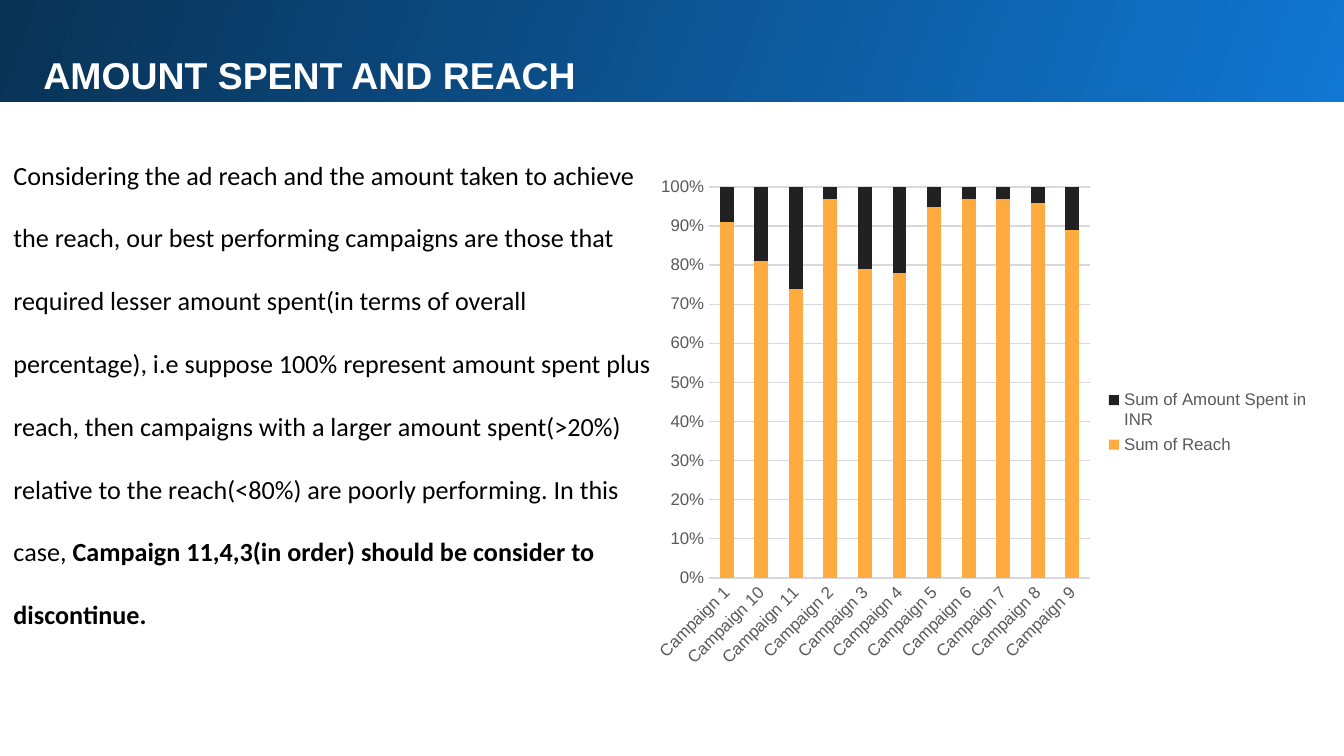
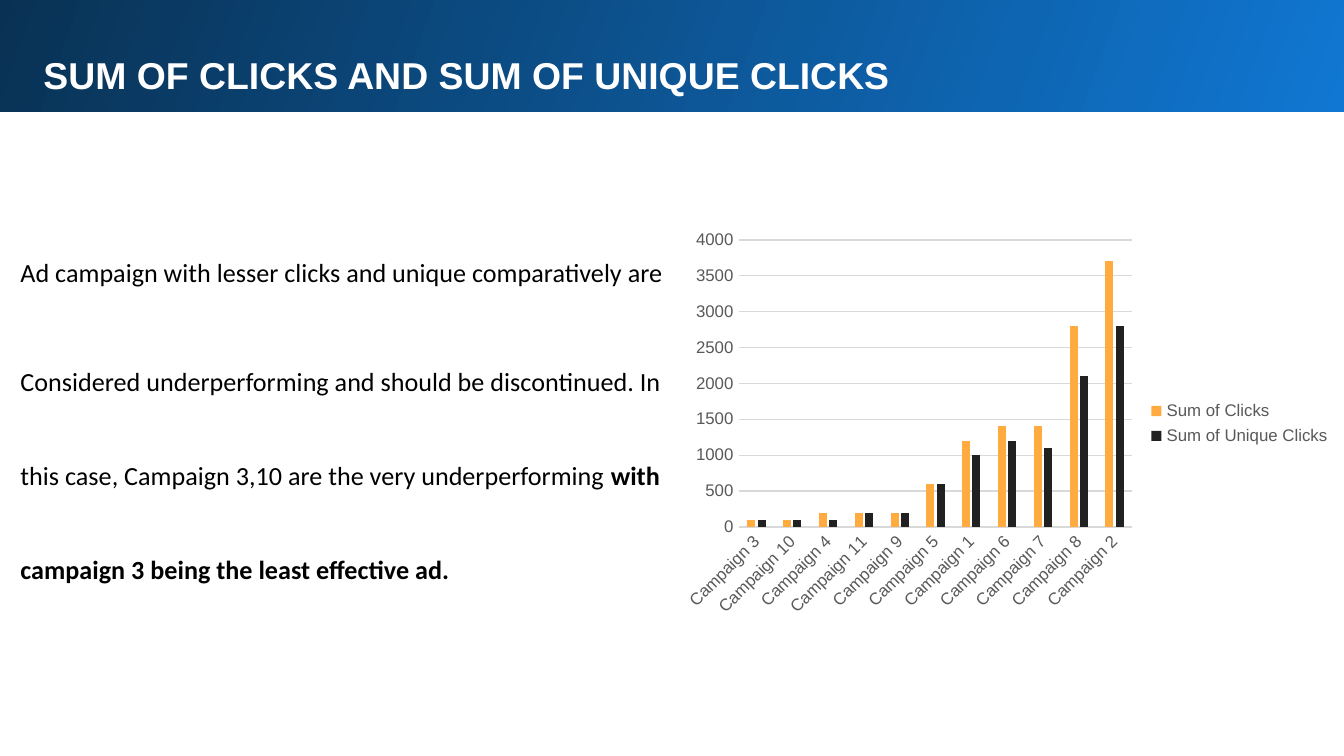
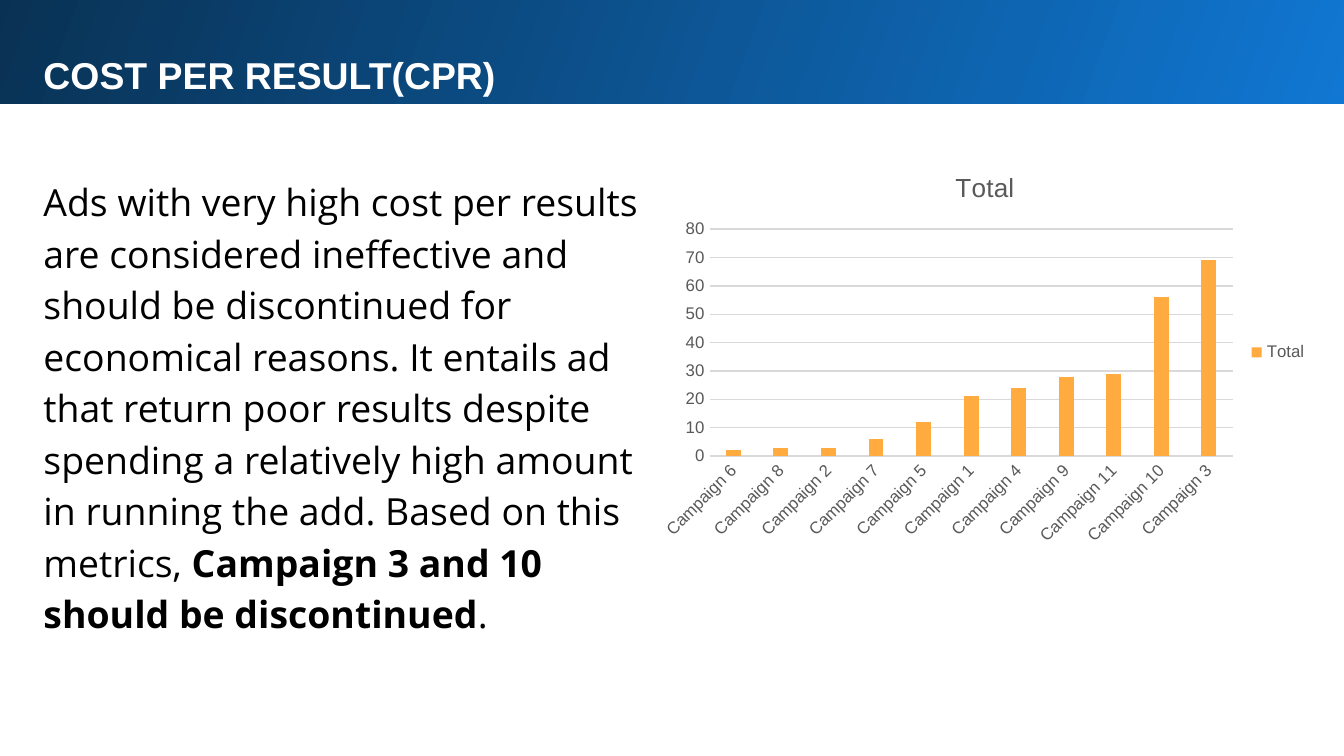
from lxml import etree
from pptx import Presentation
from pptx import util as u
from pptx.chart import data as chart_data
from pptx.dml import color as dml
from pptx.enum import chart as charts, shapes, text
from pptx.oxml import ns

SCALE = 914400 / 134.4
WIDTH, HEIGHT = 1344, 756
WHITE, BLACK, GREY, RULE = "FFFFFF", "000000", "595959", "D9D9D9"
BAND_COLORS = ("1077D2", "093153")
SERIES_COLORS = ("FFAB40", "212121")
TITLE_BOX = (30, 39, 1259, 73)
INSET = 13.44


def px(length):
    return u.Emu(round(length * SCALE))


def rgb(value):
    return dml.RGBColor.from_string(value)


def format_font(font, size, color, name="Arial", bold=False):
    font.size, font.name, font.bold = u.Pt(size), name, bold
    font.color.rgb = rgb(color)


def place(shape, box):
    shape.left, shape.top, shape.width, shape.height = map(px, box)


def write(shape, box, paragraphs, size, color=BLACK, name="Calibri",
          spacing=1, after=0, vertical_inset=INSET / 2):
    place(shape, box)
    frame = shape.text_frame
    frame.word_wrap = True
    frame.auto_size = text.MSO_AUTO_SIZE.SHAPE_TO_FIT_TEXT
    frame.vertical_anchor = text.MSO_ANCHOR.TOP
    frame.margin_left = frame.margin_right = px(INSET)
    frame.margin_top = frame.margin_bottom = px(vertical_inset)
    for index, runs in enumerate(paragraphs):
        paragraph = frame.add_paragraph() if index else frame.paragraphs[0]
        paragraph.alignment = text.PP_ALIGN.LEFT
        paragraph.line_spacing = spacing
        paragraph.space_before, paragraph.space_after = u.Pt(0), u.Pt(after)
        properties = paragraph._p.get_or_add_pPr()
        properties.set("marL", "0")
        properties.set("indent", "0")
        etree.SubElement(properties, ns.qn("a:buNone"))
        for words, bold in runs:
            run = paragraph.add_run()
            run.text = words
            format_font(run.font, size, color, name, bold)


def add_band(slide, box):
    band = slide.shapes.add_shape(shapes.MSO_SHAPE.RECTANGLE, *map(px, box))
    band.shadow.inherit = False
    band.line.fill.background()
    band.fill.gradient()
    band.fill.gradient_angle = 160
    for stop, color, position in zip(band.fill.gradient_stops, BAND_COLORS, (0, 1)):
        stop.color.rgb = rgb(color)
        stop.position = position
    slide.shapes._spTree.insert(2, band._element)


def add_slide(presentation, title, band_box):
    slide = presentation.slides.add_slide(presentation.slide_layouts[1])
    add_band(slide, band_box)
    write(slide.shapes.title, TITLE_BOX, [[(title, True)]], 20, WHITE, "Arial",
          vertical_inset=INSET)
    return slide


def format_axis(axis):
    axis.major_tick_mark = axis.minor_tick_mark = charts.XL_TICK_MARK.NONE
    format_font(axis.tick_labels.font, 9, GREY)


def format_rule(line):
    line.color.rgb = rgb(RULE)
    line.width = u.Pt(0.75)


def add_columns(slide, box, campaigns, series, title=None, stacked=False):
    data = chart_data.CategoryChartData()
    data.categories = [f"Campaign {number}" for number in campaigns]
    for name, values in series.items():
        data.add_series(name, values)
    kind = charts.XL_CHART_TYPE.COLUMN_STACKED_100 if stacked else charts.XL_CHART_TYPE.COLUMN_CLUSTERED
    chart = slide.shapes.add_chart(kind, *map(px, box), data).chart
    format_font(chart.font, 10, BLACK)

    chart.has_title = title is not None
    if title:
        run = chart.chart_title.text_frame.paragraphs[0].add_run()
        run.text = title
        format_font(run.font, 14, GREY)
        chart.chart_title.include_in_layout = False
    chart.has_legend = True
    chart.legend.position = charts.XL_LEGEND_POSITION.RIGHT
    chart.legend.include_in_layout = False
    format_font(chart.legend.font, 9, GREY)

    plot = chart.plots[0]
    plot.vary_by_categories = False
    plot.gap_width, plot.overlap = (150, 100) if stacked else (219, -27)
    for column, color in zip(plot.series, SERIES_COLORS):
        column.format.fill.solid()
        column.format.fill.fore_color.rgb = rgb(color)
        column.invert_if_negative = False

    category_axis, value_axis = chart.category_axis, chart.value_axis
    format_axis(category_axis)
    format_axis(value_axis)
    format_rule(category_axis.format.line)
    label_body = category_axis._element.find(ns.qn("c:txPr")).find(ns.qn("a:bodyPr"))
    label_body.set("rot", "-2700000")
    value_axis.format.line.fill.background()
    value_axis.has_major_gridlines = True
    format_rule(value_axis.major_gridlines.format.line)
    value_axis.tick_labels.number_format = "0%" if stacked else "General"
    value_axis.tick_labels.number_format_is_linked = False


def build_reach(presentation):
    slide = add_slide(presentation, "AMOUNT SPENT AND REACH", (-3, -16, 1347, 118))
    write(slide.placeholders[1], (0, 121, 673, 511), [[
        ("Considering the ad reach and the amount taken to achieve the reach, our best "
         "performing campaigns are those that required lesser amount spent(in terms of "
         "overall percentage), i.e suppose 100% represent amount spent plus reach, then "
         "campaigns with a larger amount spent(>20%) relative to the reach(<80%) are "
         "poorly performing. In this case, ", False),
        ("Campaign 11,4,3(in order) should be consider to discontinue.", True),
    ]], 14, spacing=2, after=8)
    reach = [91, 81, 74, 97, 79, 78, 95, 97, 97, 96, 89]
    add_columns(slide, (642, 167, 681, 511), [1, 10, 11, *range(2, 10)], {
        "Sum of Reach": reach,
        "Sum of Amount Spent in INR": [100 - share for share in reach],
    }, stacked=True)


def build_clicks(presentation):
    slide = add_slide(presentation, "SUM OF CLICKS AND SUM OF UNIQUE CLICKS", (-4, -12, 1351, 124))
    write(slide.placeholders[1], (7, 187, 676, 392), [
        [("Ad campaign with lesser clicks and unique comparatively are", False)],
        [("Considered underperforming and should be discontinued. In this case, "
          "Campaign 3,10 are the very underperforming ", False),
         ("with campaign 3 being the least effective ad.", True)],
    ], 14, spacing=3, after=8)
    add_columns(slide, (672, 222, 672, 403), [3, 10, 4, 11, 9, 5, 1, 6, 7, 8, 2], {
        "Sum of Clicks": [100, 100, 200, 200, 200, 600, 1200, 1400, 1400, 2800, 3700],
        "Sum of Unique Clicks": [100, 100, 100, 200, 200, 600, 1000, 1200, 1100, 2100, 2800],
    })


def build_cost(presentation):
    slide = add_slide(presentation, "COST PER RESULT(CPR)", (-3, -20, 1351, 124))
    write(slide.placeholders[1], (30, 159, 642, 491), [[
        ("Ads with very high cost per results are considered ineffective and should be "
         "discontinued for economical reasons. It entails ad that return poor results "
         "despite spending a relatively high amount in running the add. Based on this "
         "metrics, ", False),
        ("Campaign 3 and 10 should be discontinued", True),
        (".", False),
    ]], 20, name="Open Sans", spacing=1.15, vertical_inset=INSET)
    add_columns(slide, (649, 151, 672, 403), [6, 8, 2, 7, 5, 1, 4, 9, 11, 10, 3], {
        "Total": [2, 3, 3, 6, 12, 21, 24, 28, 29, 56, 69],
    }, title="Total")


presentation = Presentation()
presentation.slide_width, presentation.slide_height = px(WIDTH), px(HEIGHT)
for build in (build_reach, build_clicks, build_cost):
    build(presentation)
presentation.save("out.pptx")
